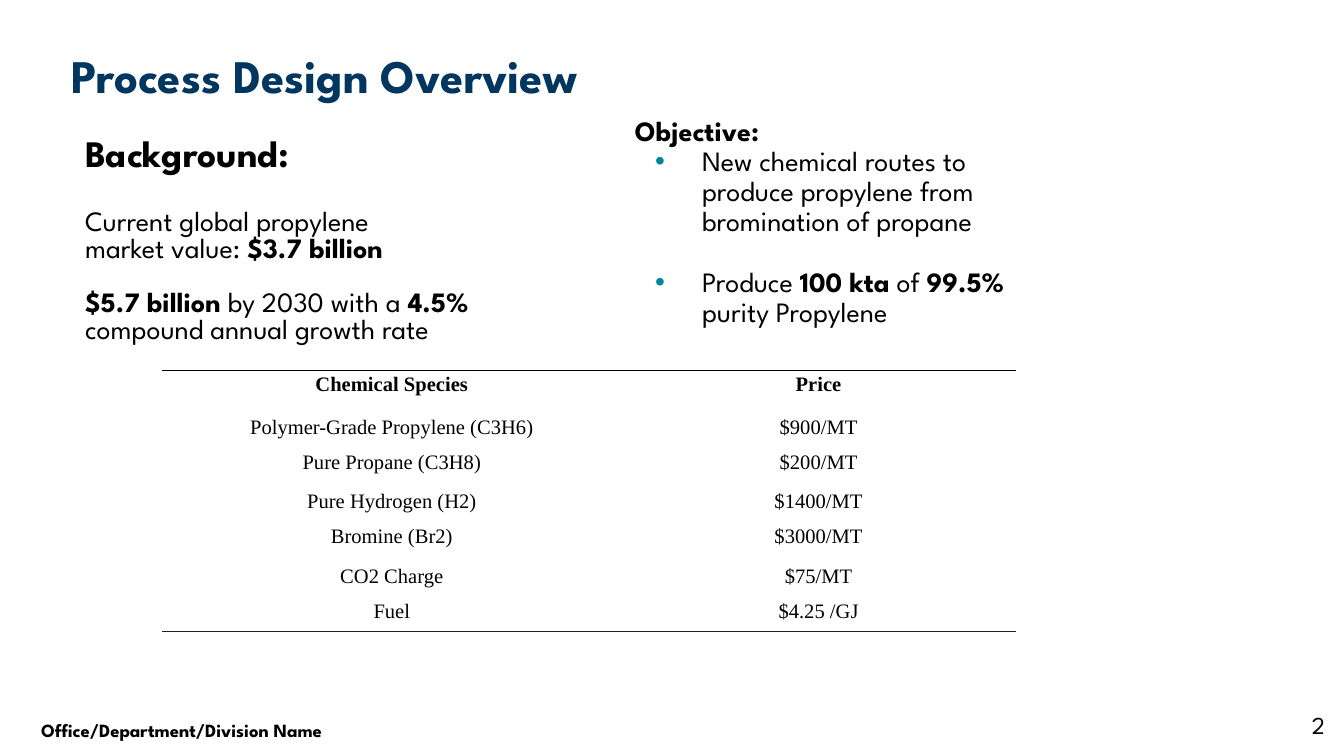
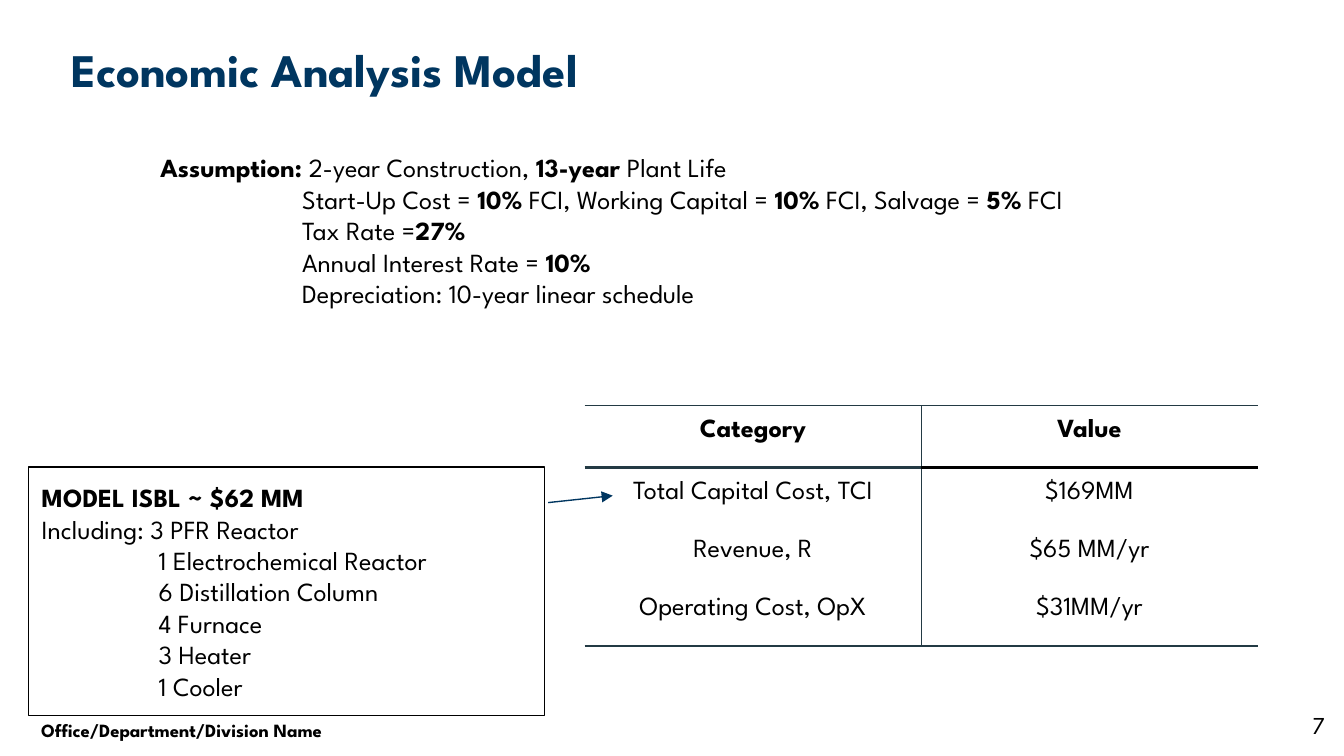
from dataclasses import dataclass, field
from typing import NamedTuple

from lxml import etree
from pptx import Presentation
from pptx.dml.color import RGBColor
from pptx.enum.shapes import MSO_CONNECTOR, MSO_SHAPE
from pptx.enum.text import MSO_ANCHOR, PP_ALIGN
from pptx.oxml.ns import qn
from pptx.util import Cm, Pt

LEFT, MID, RIGHT = PP_ALIGN.LEFT, PP_ALIGN.CENTER, PP_ALIGN.RIGHT
TOP, CENTER, BOTTOM = MSO_ANCHOR.TOP, MSO_ANCHOR.MIDDLE, MSO_ANCHOR.BOTTOM
RECT, STRAIGHT = MSO_SHAPE.RECTANGLE, MSO_CONNECTOR.STRAIGHT

BLACK = RGBColor(0x00, 0x00, 0x00)
NAVY = RGBColor(0x00, 0x36, 0x60)
TEAL = RGBColor(0x04, 0x85, 0x9B)
SLATE = RGBColor(0x23, 0x3A, 0x44)
COAL = RGBColor(0x20, 0x21, 0x24)
SPARTAN, TIMES = "League Spartan", "Times New Roman"


class Para(NamedTuple):
    """A paragraph whose bold parts stand between double asterisks."""
    text: str
    size: float
    color: RGBColor = BLACK
    align: PP_ALIGN = LEFT
    lead: float = 1
    before: float = 0
    indent: float = 0
    hang: float = 0
    face: str = SPARTAN


class Box(NamedTuple):
    """A place on the slide, in centimetres, with its text insets."""
    left: float
    top: float
    width: float
    height: float
    side: float = 0.25
    edge: float = 0.13


class Rule(NamedTuple):
    """A line across a table, with one colour for each column."""
    colors: tuple[RGBColor, ...]
    width: float


@dataclass
class Grid:
    """A ruled table whose first row is its header."""
    left: float
    top: float
    cols: list[float]
    heights: list[float]
    rows: list[tuple[str, ...]]
    face: str
    size: float
    insets: tuple[float, float, float, float]
    anchor: MSO_ANCHOR
    rules: dict[int, Rule]
    split: dict[int, Rule] = field(default_factory=dict)


TITLE = Box(1.1, 0.76, 23.14, 1.3)
FOOTER = Box(0.53, 13.46, 12.24, 0.69)
NUMBER = Box(23.77, 13.18, 1.52, 1.09, edge=0.25)

BACK = Box(1.36, 2.49, 8.53, 4.32)
BACK_TEXT = [
    Para("**Background:**", 20, lead=0.8),
    Para("Current global propylene", 15, lead=0.8, before=19.2),
    Para("market value: **$3.7 billion**", 15, lead=0.8),
    Para("**$5.7 billion** by 2030 with a **4.5%** compound annual growth rate",
         15, lead=0.8, before=14.4),
]
GOAL = Box(11.75, 2.08, 8.53, 4.32)
GOAL_TEXT = [
    Para("**Objective:**", 15, lead=0.9),
    Para("New chemical routes to produce propylene from bromination of propane",
         15, lead=0.9, indent=1.27, hang=0.89),
    Para("Produce **100 kta** of **99.5%** purity Propylene",
         15, lead=0.9, before=16.2, indent=1.27, hang=0.89),
]
PRICES = Grid(
    3.07, 7, [8.67, 7.46], [0.64, 0.81, 0.64, 0.74, 0.64, 0.76, 0.64],
    [("Chemical Species", "Price"),
     ("Polymer-Grade Propylene (C3H6)", "$900/MT"),
     ("Pure Propane (C3H8)", "$200/MT"),
     ("Pure Hydrogen (H2)", "$1400/MT"),
     ("Bromine (Br2)", "$3000/MT"),
     ("CO2 Charge", "$75/MT"),
     ("Fuel", "$4.25 /GJ")],
    TIMES, 11, (0.02, 0.02, 0.02, 0.17), BOTTOM,
    {0: Rule((BLACK, BLACK), 1), 7: Rule((COAL, COAL), 1)},
)

TERMS = Box(2.78, 2.62, 21, 3.5, edge=0.25)
TERMS_HEAD = "**Assumption:** 2-year Construction, **13-year** Plant Life"
TERMS_LIST = [
    "Start-Up Cost = **10%** FCI, Working Capital = **10%** FCI, Salvage = **5%** FCI",
    "Tax Rate =**27%**",
    "Annual Interest Rate = **10%**",
    "Depreciation: 10-year linear schedule",
]
UNITS = Box(0.54, 8.83, 9.75, 4.7, edge=0.25)
UNITS_HEAD = ["**MODEL ISBL ~ $62 MM**", "Including: 3 PFR Reactor"]
UNITS_LIST = ["1 Electrochemical Reactor", "6 Distillation Column", "4 Furnace",
              "3 Heater", "1 Cooler"]
COSTS = Grid(
    11.05, 7.67, [6.36, 6.36], [1.17, 1.1, 1.1, 1.17],
    [("Category", "Value"),
     ("Total Capital Cost, TCI", "$169MM"),
     ("Revenue, R", "$65 MM/yr"),
     ("Operating Cost, OpX", "$31MM/yr")],
    SPARTAN, 14, (0.25, 0.25, 0.25, 0.25), TOP,
    {0: Rule((SLATE, SLATE), 0.75), 1: Rule((SLATE, BLACK), 1.5),
     4: Rule((SLATE, SLATE), 1.5)},
    {1: Rule((SLATE, SLATE), 0.75)},
)


def add_bullet(para) -> None:
    """Give a paragraph a teal dot."""
    props = para._p.get_or_add_pPr()
    tint = etree.SubElement(props, qn("a:buClr"))
    etree.SubElement(tint, qn("a:srgbClr"), val=str(TEAL))
    etree.SubElement(props, qn("a:buFont"), typeface="Arial")
    etree.SubElement(props, qn("a:buChar"), char="•")


def write(frame, paras: list[Para]) -> None:
    """Fill a text frame with paragraphs."""
    for num, item in enumerate(paras):
        para = frame.add_paragraph() if num else frame.paragraphs[0]
        para.alignment = item.align
        para.line_spacing = item.lead
        para.space_before = Pt(item.before)
        props = para._p.get_or_add_pPr()
        props.set("marL", str(Cm(item.indent)))
        props.set("indent", str(-Cm(item.hang)))
        if item.hang:
            add_bullet(para)
        font = para.font
        font.name, font.size = item.face, Pt(item.size)
        font.color.rgb = item.color
        parts = [(part, pos % 2 == 1)
                 for pos, part in enumerate(item.text.split("**")) if part]
        if len(parts) == 1:
            font.bold = parts[0][1]
        for part, bold in parts:
            run = para.add_run()
            run.text = part
            if len(parts) > 1:
                run.font.bold = bold


def add_text(slide, box: Box, paras: list[Para], line: RGBColor | None = None) -> None:
    """Draw a text box, or a framed rectangle when a line colour is given."""
    place = [Cm(size) for size in box[:4]]
    if line is None:
        shape = slide.shapes.add_textbox(*place)
    else:
        shape = slide.shapes.add_shape(RECT, *place)
        shape.shadow.inherit = False
        shape.fill.background()
        shape.line.color.rgb = line
        shape.line.width = Pt(0.75)
    frame = shape.text_frame
    frame.word_wrap = True
    frame.vertical_anchor = TOP if line is None else CENTER
    frame.margin_left = frame.margin_right = Cm(box.side)
    frame.margin_top = frame.margin_bottom = Cm(box.edge)
    write(frame, paras)


def set_edge(props, order: int, side: str, rule: Rule | None, col: int) -> None:
    """Draw or clear one side of a cell."""
    line = etree.Element(qn(f"a:ln{side}"))
    if rule is None:
        line.set("w", "0")
        etree.SubElement(line, qn("a:noFill"))
    else:
        line.set("w", str(Pt(rule.width)))
        fill = etree.SubElement(line, qn("a:solidFill"))
        etree.SubElement(fill, qn("a:srgbClr"), val=str(rule.colors[col]))
    props.insert(order, line)


def add_grid(slide, grid: Grid) -> None:
    """Draw a ruled table."""
    table = slide.shapes.add_table(
        len(grid.rows), len(grid.cols), Cm(grid.left), Cm(grid.top),
        Cm(sum(grid.cols)), Cm(sum(grid.heights))).table
    table.first_row = table.horz_banding = False
    for col, width in enumerate(grid.cols):
        table.columns[col].width = Cm(width)
    for row, texts in enumerate(grid.rows):
        table.rows[row].height = Cm(grid.heights[row])
        for col, text in enumerate(texts):
            cell = table.cell(row, col)
            cell.vertical_anchor = grid.anchor
            (cell.margin_left, cell.margin_top, cell.margin_right,
             cell.margin_bottom) = [Cm(gap) for gap in grid.insets]
            cell.fill.background()
            words = text if row else f"**{text}**"
            write(cell.text_frame,
                  [Para(words, grid.size, align=MID, face=grid.face)])
            sides = {"L": grid.split.get(col), "R": grid.split.get(col + 1),
                     "T": grid.rules.get(row), "B": grid.rules.get(row + 1)}
            props = cell._tc.get_or_add_tcPr()
            for order, (side, rule) in enumerate(sides.items()):
                set_edge(props, order, side, rule, col)


def add_arrow(slide, start: tuple[float, float], end: tuple[float, float]) -> None:
    """Draw a thin navy arrow."""
    arrow = slide.shapes.add_connector(
        STRAIGHT, *[Cm(size) for size in start + end])
    arrow.line.color.rgb = NAVY
    arrow.line.width = Pt(0.75)
    etree.SubElement(arrow.line._get_or_add_ln(), qn("a:tailEnd"), type="triangle")
    etree.SubElement(arrow._element.spPr, qn("a:effectLst"))


def add_page(deck, title: str, number: int, lead: float = 1):
    """Add a slide with its title, footer and number."""
    slide = deck.slides.add_slide(deck.slide_layouts[6])
    add_text(slide, FOOTER, [Para("**Office/Department/Division Name**", 10)])
    add_text(slide, TITLE, [Para(f"**{title}**", 25, NAVY, lead=lead)])
    add_text(slide, NUMBER, [Para(str(number), 13, align=RIGHT)])
    return slide


def add_design(deck) -> None:
    """Build the process design slide."""
    slide = add_page(deck, "Process Design Overview", 2)
    add_text(slide, BACK, BACK_TEXT)
    add_grid(slide, PRICES)
    add_text(slide, GOAL, GOAL_TEXT)


def add_model(deck) -> None:
    """Build the economic model slide."""
    slide = add_page(deck, "Economic Analysis Model", 7, lead=0.9)
    add_grid(slide, COSTS)
    add_text(slide, UNITS, [Para(text, 14) for text in UNITS_HEAD]
             + [Para(text, 14, indent=2.21) for text in UNITS_LIST], BLACK)
    add_text(slide, TERMS, [Para(TERMS_HEAD, 14)]
             + [Para(text, 14, indent=2.68) for text in TERMS_LIST])
    add_arrow(slide, (10.36, 9.5), (11.58, 9.37))


def main() -> None:
    """Build and save the deck."""
    deck = Presentation()
    deck.slide_width, deck.slide_height = Cm(25.4), Cm(14.29)
    add_design(deck)
    add_model(deck)
    deck.save("out.pptx")


if __name__ == "__main__":
    main()
